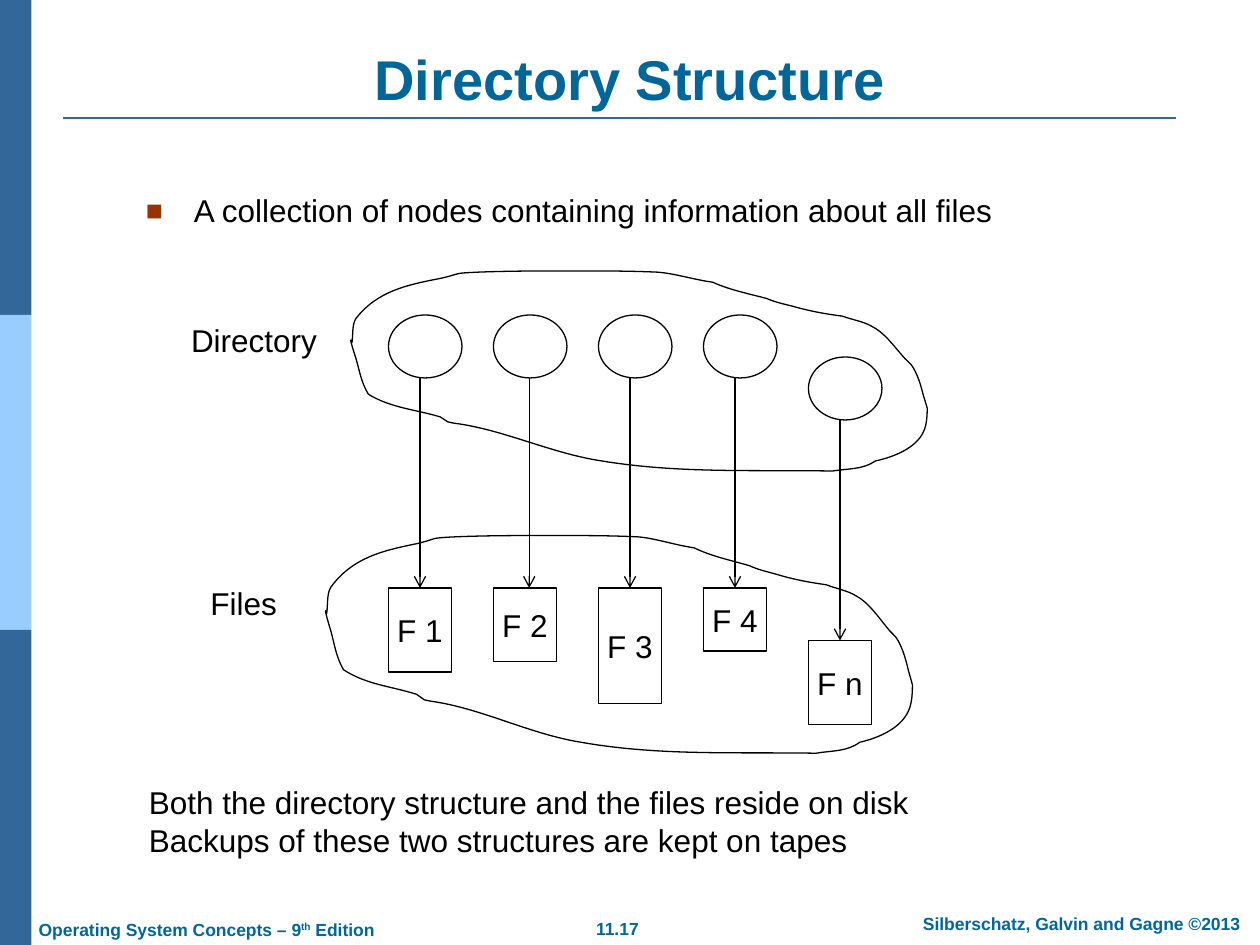
from lxml import etree
from pptx import Presentation, util as u
from pptx.dml.color import RGBColor
from pptx.enum import shapes, text
from pptx.oxml.ns import qn

COLORS = {"navy": "336699", "sky": "99CCFF", "teal": "006699",
          "rust": "993300", "black": "000000", "white": "FFFFFF"}
FONT = "Arial"
CELL = u.Inches(1 / 12)  # the slide is a grid of 120 columns by 90 rows
COLS, ROWS = 120, 90
LEFT, CENTER = text.PP_ALIGN.LEFT, text.PP_ALIGN.CENTER
TOP, MIDDLE, BOTTOM = (text.MSO_ANCHOR.TOP, text.MSO_ANCHOR.MIDDLE,
                       text.MSO_ANCHOR.BOTTOM)

# Closed Bezier outline in hundredths of an inch: a start point, then triples.
CLOUD = [
    (279, 272),
    (280, 265), (279, 258), (282, 253), (299, 231), (323, 226), (349, 221),
    (367, 217), (357, 217), (379, 216), (404, 215), (429, 215), (455, 215),
    (477, 215), (499, 215), (521, 216), (535, 217), (550, 222), (565, 224),
    (578, 230), (593, 233), (608, 237), (615, 240), (620, 241), (628, 243),
    (642, 247), (653, 249), (668, 251), (676, 254), (684, 255), (691, 259),
    (701, 264), (708, 274), (715, 282), (718, 286), (722, 288), (724, 292),
    (728, 299), (730, 306), (732, 314), (733, 317), (735, 324), (735, 324),
    (735, 328), (735, 337), (732, 343), (726, 356), (708, 363), (694, 366),
    (684, 373), (672, 372), (660, 374), (596, 373), (538, 376), (477, 366),
    (437, 360), (399, 341), (360, 336), (358, 336), (357, 335), (355, 335),
    (353, 334), (351, 332), (349, 331), (329, 325), (310, 324), (292, 313),
    (286, 303), (285, 294), (282, 284), (282, 284), (278, 272), (278, 270),
    (278, 269), (279, 271), (279, 272),
]


def rgb(name):
    return RGBColor.from_string(COLORS[name])


def cells(*counts):
    return [round(n * CELL) for n in counts]


class Deck:
    """Slide style plus the current slide; lengths are grid columns and rows."""

    def __init__(self):
        self.prs = Presentation()
        self.prs.slide_width, self.prs.slide_height = cells(COLS, ROWS)
        self.s = self.prs.slides.add_slide(self.prs.slide_layouts[1])

    def outline(self, sp, color="black", width=0.75):
        sp.line.color.rgb = rgb(color)
        sp.line.width = u.Pt(width)

    def set_text(self, sp, content, size=18, color="black", bold=False,
                 align=LEFT, anchor=TOP, wrap=True):
        tf = sp.text_frame
        tf.text = content
        tf.word_wrap = wrap
        tf.auto_size = text.MSO_AUTO_SIZE.NONE
        tf.vertical_anchor = anchor
        for p in tf.paragraphs:
            p.alignment = align
            p.space_before = u.Pt(0)
            for r in p.runs:
                self.style_run(r, size, color, bold)
        return tf

    def style_run(self, r, size, color, bold):
        r.font.name, r.font.size, r.font.bold = FONT, u.Pt(size), bold
        r.font.color.rgb = rgb(color)

    def place(self, sp, *box):
        sp.left, sp.top, sp.width, sp.height = cells(*box)

    def title(self, content, *box):
        sp = self.s.shapes.title
        self.place(sp, *box)
        self.set_text(sp, content, 32, "teal", True, CENTER, BOTTOM)

    def bullet(self, content, *box):
        sp = self.s.placeholders[1]
        self.place(sp, *box)
        p = self.set_text(sp, content).paragraphs[0]
        pPr = p._p.get_or_add_pPr()
        pPr.set("marL", str(u.Inches(0.38)))
        pPr.set("indent", str(-u.Inches(0.38)))
        clr = etree.SubElement(pPr, qn("a:buClr"))
        etree.SubElement(clr, qn("a:srgbClr"), val=COLORS["rust"])
        etree.SubElement(pPr, qn("a:buSzPct"), val="90000")
        etree.SubElement(pPr, qn("a:buFont"), typeface=FONT)
        etree.SubElement(pPr, qn("a:buChar"), char="■")
        p.line_spacing = 0.9

    def label(self, content, *box, **style):
        sp = self.s.shapes.add_textbox(*cells(*box))
        return self.set_text(sp, content, **style)

    def shape(self, kind, *box, fill="white", line=None):
        sp = self.s.shapes.add_shape(kind, *cells(*box))
        sp.shadow.inherit = False
        sp.fill.solid()
        sp.fill.fore_color.rgb = rgb(fill)
        if line:
            self.outline(sp, line)
        else:
            sp.line.fill.background()
        return sp

    def line(self, x1, y1, x2, y2, color="black", width=0.75, arrow=False):
        sp = self.s.shapes.add_connector(shapes.MSO_CONNECTOR.STRAIGHT,
                                         *cells(x1, y1, x2, y2))
        self.outline(sp, color, width)
        if arrow:
            etree.SubElement(sp.line._get_or_add_ln(), qn("a:tailEnd"), type="arrow")
        etree.SubElement(sp._element.spPr, qn("a:effectLst"))

    def cloud(self, left, top, width, height):
        """Stretch the curved CLOUD outline over the given box."""
        xs, ys = zip(*CLOUD)
        points = [(x - min(xs), y - min(ys)) for x, y in CLOUD]
        w, h = cells(width, height)
        scale = w / (max(xs) - min(xs)), h / (max(ys) - min(ys))
        builder = self.s.shapes.build_freeform(*points[0], scale=scale)
        builder.add_line_segments(points[1:], close=True)
        sp = builder.convert_to_shape(*cells(left, top))
        segments = list(sp._element.iter(qn("a:lnTo")))
        # The builder may repeat the start point when it closes the outline.
        for extra in segments[len(points) - 1:]:
            extra.getparent().remove(extra)
        segments = segments[:len(points) - 1]
        for i in range(0, len(segments), 3):
            curve = etree.Element(qn("a:cubicBezTo"))
            segments[i].addprevious(curve)
            for segment in segments[i:i + 3]:
                curve.append(segment[0])
                segment.getparent().remove(segment)
        sp.shadow.inherit = False
        sp.fill.background()
        self.outline(sp)


def main():
    d = Deck()
    rect, oval = shapes.MSO_SHAPE.RECTANGLE, shapes.MSO_SHAPE.OVAL

    for i, color in enumerate(("navy", "sky", "navy")):
        d.shape(rect, 0, i * ROWS / 3, 3, ROWS / 3, fill=color)
    d.line(6, 11.25, 112, 11.25, "navy", 1.5)

    footer = dict(size=10, color="teal", bold=True)
    d.label("11.17", 52.4, 86.8, 12.8, 3.2, align=CENTER, wrap=False, **footer)
    d.label("Silberschatz, Galvin and Gagne ©2013", 85.2, 86.4, 35.6, 3.2,
            align=CENTER, **footer)
    tf = d.label("Operating System Concepts – 9", 2.5, 86.9, 34.3, 3.2,
                 wrap=False, **footer)
    for part, baseline in (("th", "30000"), (" Edition", "0")):
        r = tf.paragraphs[0].add_run()
        r.text = part
        d.style_run(r, **footer)
        r._r.get_or_add_rPr().set("baseline", baseline)

    d.title("Directory Structure", 6, 3.6, 108, 7.6)
    d.bullet("A collection of nodes containing information about all files",
             12.7, 18, 96.7, 4.7)

    # name, node row, file row, file height, arrow column
    files = [("F 1", 30, 56, 8, 40), ("F 2", 30, 56, 7, 50.4),
             ("F 3", 30, 56, 11, 60), ("F 4", 30, 56, 6, 70),
             ("F n", 34, 61, 8, 80)]
    for i, (name, node_row, file_row, height, arrow_col) in enumerate(files):
        col = 37 + 10 * i
        d.shape(oval, col, node_row, 7, 6, line="black")
        box = d.shape(rect, col, file_row, 6, height, line="black")
        d.set_text(box, name, align=CENTER, anchor=MIDDLE, wrap=False)
        d.line(arrow_col, node_row + 6, arrow_col, file_row, arrow=True)

    d.cloud(33.4, 25.8, 54.9, 19.3)
    d.cloud(31, 51, 55.9, 21)
    caption = dict(align=CENTER, anchor=MIDDLE, wrap=False)
    d.label("Directory", 17, 30, 14.4, 4.8, **caption)
    d.label("Files", 18.8, 55, 8.8, 4.8, **caption)
    d.label("Both the directory structure and the files reside on disk\n"
            "Backups of these two structures are kept on tapes",
            13, 74, 99.7, 5)

    d.prs.save("out.pptx")


if __name__ == "__main__":
    main()
